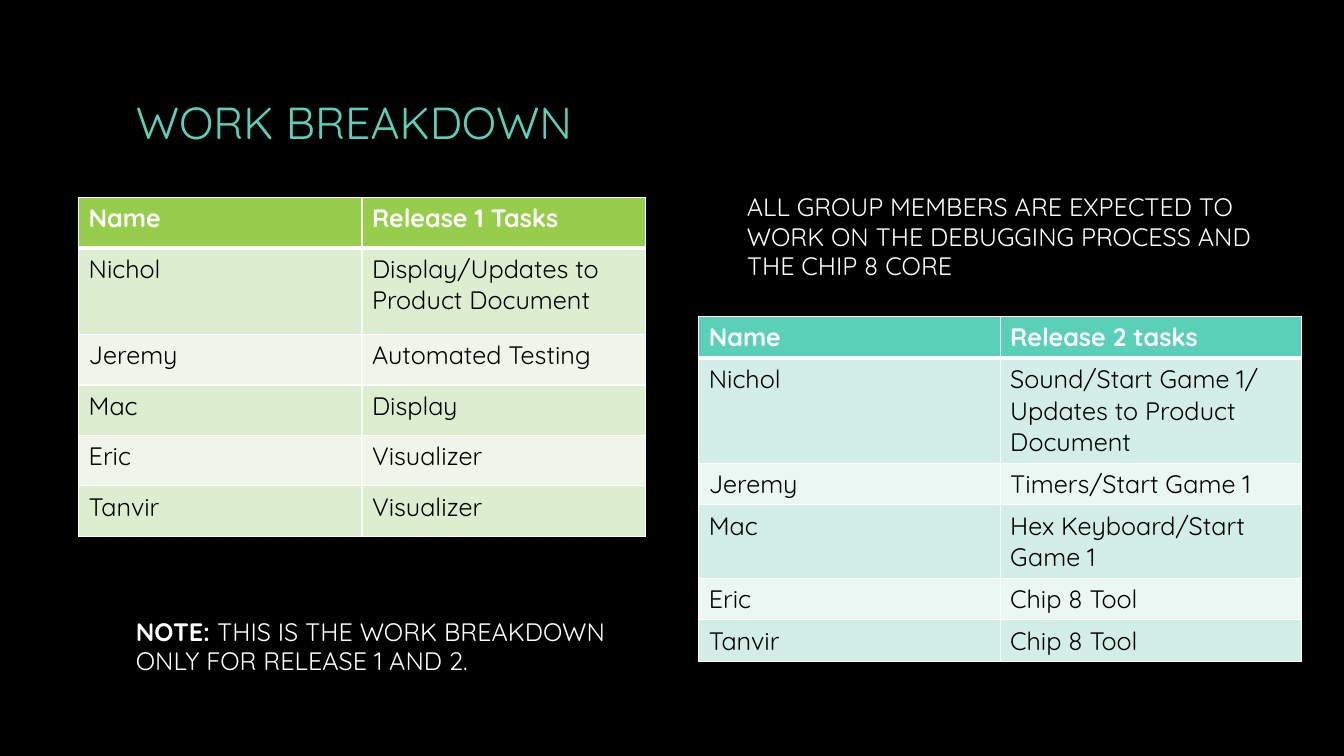
from dataclasses import dataclass

from lxml.etree import SubElement
from pptx import Presentation
from pptx.dml.color import RGBColor
from pptx.enum.text import MSO_ANCHOR
from pptx.oxml.ns import qn
from pptx.util import Inches, Pt

FONT = "Quicksand"
COLORS = {
    "background": "000000",
    "dark": "000000",
    "white": "FFFFFF",
    "teal": "5AD0B8",
    "teal_band": "D2EEE6",
    "teal_pale": "EAF7F3",
    "green": "96CD4B",
    "green_band": "DDEDD0",
    "green_pale": "EFF6E9",
}


@dataclass(frozen=True)
class TextBlock:
    left: float
    top: float
    width: float
    height: float
    phrases: tuple[tuple[str, bool], ...]
    size: int = 18
    color: str = "white"
    anchor: MSO_ANCHOR = MSO_ANCHOR.TOP
    line_spacing: float = 0.97


@dataclass(frozen=True)
class TaskTable:
    left: float
    top: float
    column_width: float
    row_heights: tuple[float, ...]
    accent: str
    rows: tuple[tuple[str, str], ...]


TEXT_BLOCKS = (
    TextBlock(1.25, 0.44, 10.83, 1.6, (("WORK BREAKDOWN", False),),
              size=32, color="teal", anchor=MSO_ANCHOR.MIDDLE, line_spacing=0.9),
    TextBlock(1.25, 6.08, 5.06, 0.71, (
        ("NOTE: ", True),
        ("THIS IS THE WORK BREAKDOWN ONLY FOR RELEASE 1 AND 2.", False),
    )),
    TextBlock(7.31, 1.87, 5.23, 1.01, (
        ("ALL GROUP MEMBERS ARE EXPECTED TO WORK ON THE DEBUGGING PROCESS "
         "AND THE CHIP 8 CORE", False),
    )),
)

TASK_TABLES = (
    TaskTable(0.78, 1.96, 2.81, (0.5, 0.86, 0.5, 0.5, 0.5, 0.5), "green", (
        ("Name", "Release 1 Tasks"),
        ("Nichol", "Display/Updates to Product Document"),
        ("Jeremy", "Automated Testing"),
        ("Mac", "Display"),
        ("Eric", "Visualizer"),
        ("Tanvir", "Visualizer"),
    )),
    TaskTable(6.93, 3.14, 2.99, (0.36,) * 6, "teal", (
        ("Name", "Release 2 tasks"),
        ("Nichol", "Sound/Start Game 1/ Updates to Product Document"),
        ("Jeremy", "Timers/Start Game 1"),
        ("Mac", "Hex Keyboard/Start Game 1"),
        ("Eric", "Chip 8 Tool"),
        ("Tanvir", "Chip 8 Tool"),
    )),
)


def rgb(name: str) -> RGBColor:
    return RGBColor.from_string(COLORS[name])


def add_text(paragraph, text: str, *, size: int = 18, color: str = "white",
             bold: bool = False) -> None:
    run = paragraph.add_run()
    run.text = text
    run.font.name = FONT
    run.font.size = Pt(size)
    run.font.bold = bold
    run.font.color.rgb = rgb(color)


def draw_text_block(slide, block: TextBlock) -> None:
    shape = slide.shapes.add_textbox(
        Inches(block.left), Inches(block.top), Inches(block.width), Inches(block.height))
    frame = shape.text_frame
    frame.word_wrap = True
    frame.vertical_anchor = block.anchor
    paragraph = frame.paragraphs[0]
    paragraph.line_spacing = block.line_spacing
    for text, bold in block.phrases:
        add_text(paragraph, text, size=block.size, color=block.color, bold=bold)


def set_borders(cell, row_index: int) -> None:
    widths = {
        "a:lnL": 1,
        "a:lnR": 1,
        "a:lnT": 3 if row_index == 1 else 1,
        "a:lnB": 3 if row_index == 0 else 1,
    }
    properties = cell._tc.get_or_add_tcPr()
    for tag, width in widths.items():
        line = SubElement(properties, qn(tag), w=str(Pt(width)))
        fill = SubElement(line, qn("a:solidFill"))
        SubElement(fill, qn("a:srgbClr"), val=COLORS["white"])


def draw_task_table(slide, task_table: TaskTable) -> None:
    column_count = len(task_table.rows[0])
    table = slide.shapes.add_table(
        len(task_table.rows), column_count,
        Inches(task_table.left), Inches(task_table.top),
        Inches(task_table.column_width * column_count),
        Inches(sum(task_table.row_heights))).table
    table.horz_banding = False
    for column in table.columns:
        column.width = Inches(task_table.column_width)
    for row_index, texts in enumerate(task_table.rows):
        table.rows[row_index].height = Inches(task_table.row_heights[row_index])
        header = row_index == 0
        shade = "" if header else "_band" if row_index % 2 else "_pale"
        for column_index, text in enumerate(texts):
            cell = table.cell(row_index, column_index)
            set_borders(cell, row_index)
            cell.fill.solid()
            cell.fill.fore_color.rgb = rgb(task_table.accent + shade)
            add_text(cell.text_frame.paragraphs[0], text,
                     color="white" if header else "dark", bold=header)


def main() -> None:
    presentation = Presentation()
    presentation.slide_width = Inches(13.33)
    presentation.slide_height = Inches(7.5)
    slide = presentation.slides.add_slide(presentation.slide_layouts[6])
    slide.background.fill.solid()
    slide.background.fill.fore_color.rgb = rgb("background")
    for task_table in TASK_TABLES:
        draw_task_table(slide, task_table)
    for block in TEXT_BLOCKS:
        draw_text_block(slide, block)
    presentation.save("out.pptx")


if __name__ == "__main__":
    main()
